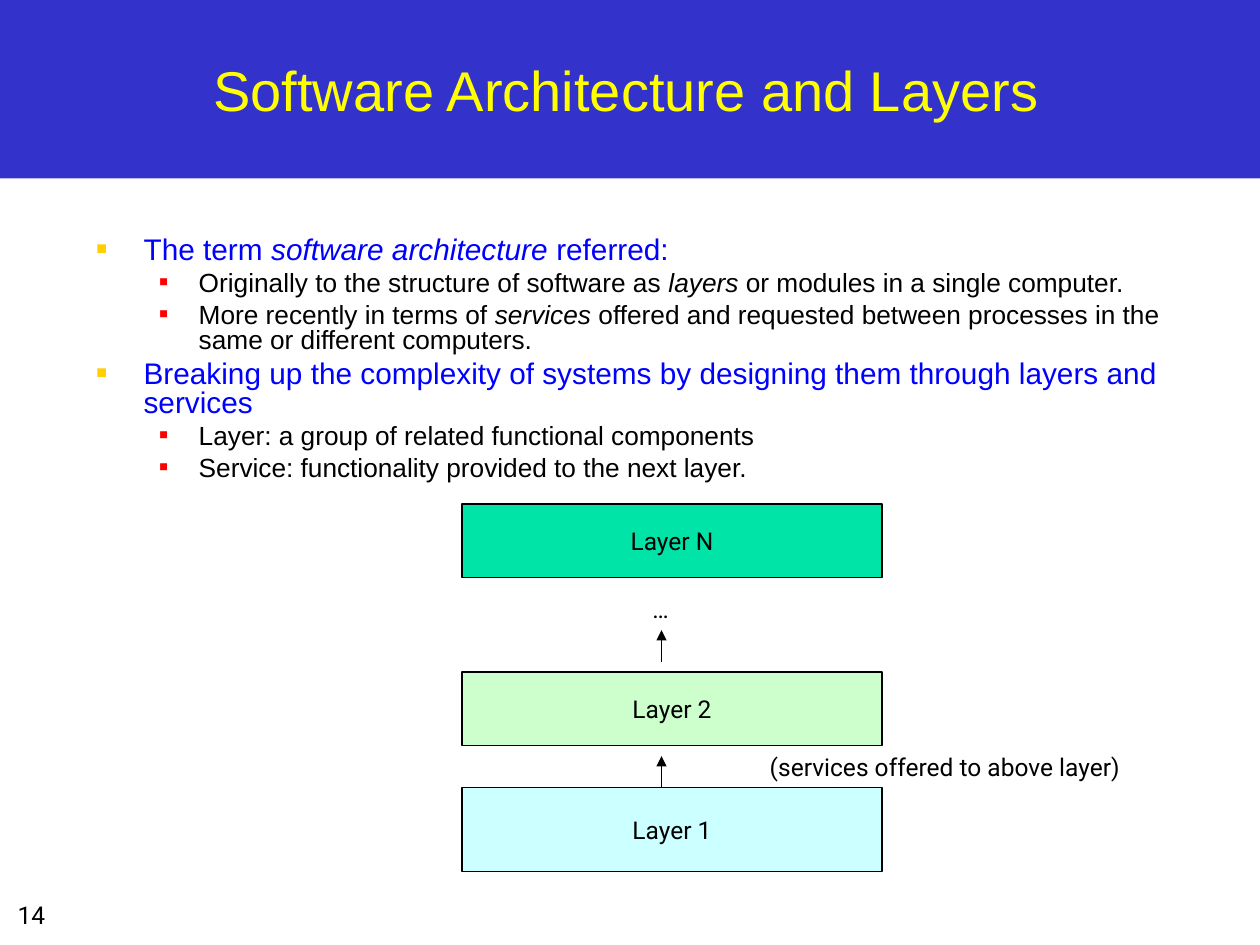
from dataclasses import dataclass

from lxml import etree
from pptx import Presentation
from pptx.dml.color import RGBColor
from pptx.enum.shapes import MSO_CONNECTOR, MSO_SHAPE
from pptx.enum.text import MSO_ANCHOR, PP_ALIGN
from pptx.oxml.ns import qn
from pptx.slide import Slide
from pptx.text.text import TextFrame, _Paragraph
from pptx.util import Pt

RECTANGLE = MSO_SHAPE.RECTANGLE
STRAIGHT = MSO_CONNECTOR.STRAIGHT
CENTER, LEFT = PP_ALIGN.CENTER, PP_ALIGN.LEFT
MIDDLE, TOP = MSO_ANCHOR.MIDDLE, MSO_ANCHOR.TOP

BLACK = RGBColor(0x00, 0x00, 0x00)
BLUE = RGBColor(0x00, 0x00, 0xFF)
YELLOW = RGBColor(0xFF, 0xFF, 0x00)
GOLD = RGBColor(0xFF, 0xCF, 0x01)
RED = RGBColor(0xFF, 0x00, 0x00)
BANNER_BLUE = RGBColor(0x33, 0x33, 0xCC)
CYAN = RGBColor(0xCC, 0xFF, 0xFF)
PALE_GREEN = RGBColor(0xCC, 0xFF, 0xCC)
TEAL = RGBColor(0x00, 0xE4, 0xA8)

SLIDE_WIDTH, SLIDE_HEIGHT = 720, 540
LAYER_LEFT, LAYER_WIDTH = 264, 240
ARROW_X, ARROW_LENGTH = 378, 18


@dataclass(frozen=True)
class BulletLevel:
    size: float
    color: RGBColor
    bullet_color: RGBColor
    bullet_percent: int
    margin: float
    hanging: float
    space_before: float


@dataclass(frozen=True)
class Bullet:
    level: int
    spans: tuple[str, ...]  # every second span is italic


@dataclass(frozen=True)
class Layer:
    name: str
    top: float
    height: float
    fill: RGBColor


@dataclass(frozen=True)
class Label:
    text: str
    left: float
    top: float
    width: float
    height: float


LEVELS = (
    BulletLevel(17, BLUE, GOLD, 60, 27, 27, 4.2),
    BulletLevel(15, BLACK, RED, 55, 58.5, 22.5, 3.7),
)
BULLETS = (
    Bullet(0, ("The term ", "software architecture ", "referred:")),
    Bullet(1, ("Originally to the structure of software as ", "layers",
               " or modules in a single computer.")),
    Bullet(1, ("More recently in terms of ", "services",
               " offered and requested between processes in the same or different computers.")),
    Bullet(0, ("Breaking up the complexity of systems by designing them "
               "through layers and services",)),
    Bullet(1, ("Layer: a group of related functional components",)),
    Bullet(1, ("Service: functionality provided to the next layer.",)),
)
LAYERS = (
    Layer("Layer 1", 450, 48, CYAN),
    Layer("Layer 2", 384, 42, PALE_GREEN),
    Layer("Layer N", 288, 42, TEAL),
)
ARROW_STARTS = (450, 378)
LABELS = (
    Label("(services offered to above layer)", 428, 426, 224, 24.5),
    Label("…", 365, 336, 25, 24.5),
    Label("14", 0, 510.5, 36, 26.5),
)


def set_centered_text(frame: TextFrame, text: str, font: str, size: float,
                      color: RGBColor, anchor: MSO_ANCHOR, wrap: bool) -> None:
    frame.text = text
    frame.word_wrap = wrap
    frame.vertical_anchor = anchor
    para = frame.paragraphs[0]
    para.alignment = CENTER
    para.font.name = font
    para.font.size = Pt(size)
    para.font.color.rgb = color


def add_banner(page: Slide) -> None:
    """Draw the band behind the title."""
    banner = page.shapes.add_shape(RECTANGLE, 0, 0, Pt(SLIDE_WIDTH), Pt(102))
    banner.shadow.inherit = False
    banner.fill.solid()
    banner.fill.fore_color.rgb = BANNER_BLUE
    banner.line.fill.background()
    page.shapes.element.insert(2, banner.element)


def set_title(page: Slide, text: str) -> None:
    title = page.shapes.title
    title.left, title.top, title.width, title.height = Pt(12), Pt(12), Pt(692), Pt(78)
    set_centered_text(title.text_frame, text, "Arial", 32, YELLOW, MIDDLE, True)


def format_bullet(para: _Paragraph, level: BulletLevel) -> None:
    properties = para._p.get_or_add_pPr()
    properties.set("marL", str(Pt(level.margin)))
    properties.set("indent", str(-Pt(level.hanging)))
    color = etree.SubElement(properties, qn("a:buClr"))
    etree.SubElement(color, qn("a:srgbClr"), val=str(level.bullet_color))
    etree.SubElement(properties, qn("a:buSzPct"), val=str(level.bullet_percent * 1000))
    etree.SubElement(properties, qn("a:buFont"), typeface="Arial")
    etree.SubElement(properties, qn("a:buChar"), char="■")


def add_bullets(page: Slide, bullets: tuple[Bullet, ...]) -> None:
    frame = page.shapes.add_textbox(Pt(48), Pt(132), Pt(654), Pt(162)).text_frame
    frame.word_wrap = True
    for index, bullet in enumerate(bullets):
        level = LEVELS[bullet.level]
        para = frame.add_paragraph() if index else frame.paragraphs[0]
        format_bullet(para, level)
        para.level = bullet.level
        para.alignment = LEFT
        para.line_spacing = 0.8
        para.space_before = Pt(level.space_before if index else 0)
        for position, text in enumerate(bullet.spans):
            span = para.add_run()
            span.text = text
            span.font.name = "Arial"
            span.font.size = Pt(level.size)
            span.font.color.rgb = level.color
            span.font.italic = position % 2 == 1


def add_layer(page: Slide, layer: Layer) -> None:
    box = page.shapes.add_shape(RECTANGLE, Pt(LAYER_LEFT), Pt(layer.top),
                                Pt(LAYER_WIDTH), Pt(layer.height))
    box.shadow.inherit = False
    box.fill.solid()
    box.fill.fore_color.rgb = layer.fill
    box.line.color.rgb = BLACK
    box.line.width = Pt(0.75)
    set_centered_text(box.text_frame, layer.name, "Roboto", 14, BLACK, MIDDLE, False)


def add_up_arrow(page: Slide, start: float) -> None:
    arrow = page.shapes.add_connector(STRAIGHT, Pt(ARROW_X), Pt(start),
                                      Pt(ARROW_X), Pt(start - ARROW_LENGTH))
    arrow.line.color.rgb = BLACK
    arrow.line.width = Pt(0.75)
    etree.SubElement(arrow.line._get_or_add_ln(), qn("a:tailEnd"), type="triangle")
    etree.SubElement(arrow.element.spPr, qn("a:effectLst"))


def add_label(page: Slide, label: Label) -> None:
    box = page.shapes.add_textbox(Pt(label.left), Pt(label.top),
                                  Pt(label.width), Pt(label.height))
    set_centered_text(box.text_frame, label.text, "Roboto", 14, BLACK, TOP, False)


def main() -> None:
    deck = Presentation()
    deck.slide_width, deck.slide_height = Pt(SLIDE_WIDTH), Pt(SLIDE_HEIGHT)
    page = deck.slides.add_slide(deck.slide_layouts[5])
    add_banner(page)
    set_title(page, "Software Architecture and Layers")
    add_bullets(page, BULLETS)
    for layer in LAYERS:
        add_layer(page, layer)
    for start in ARROW_STARTS:
        add_up_arrow(page, start)
    for label in LABELS:
        add_label(page, label)
    deck.save("out.pptx")


if __name__ == "__main__":
    main()
